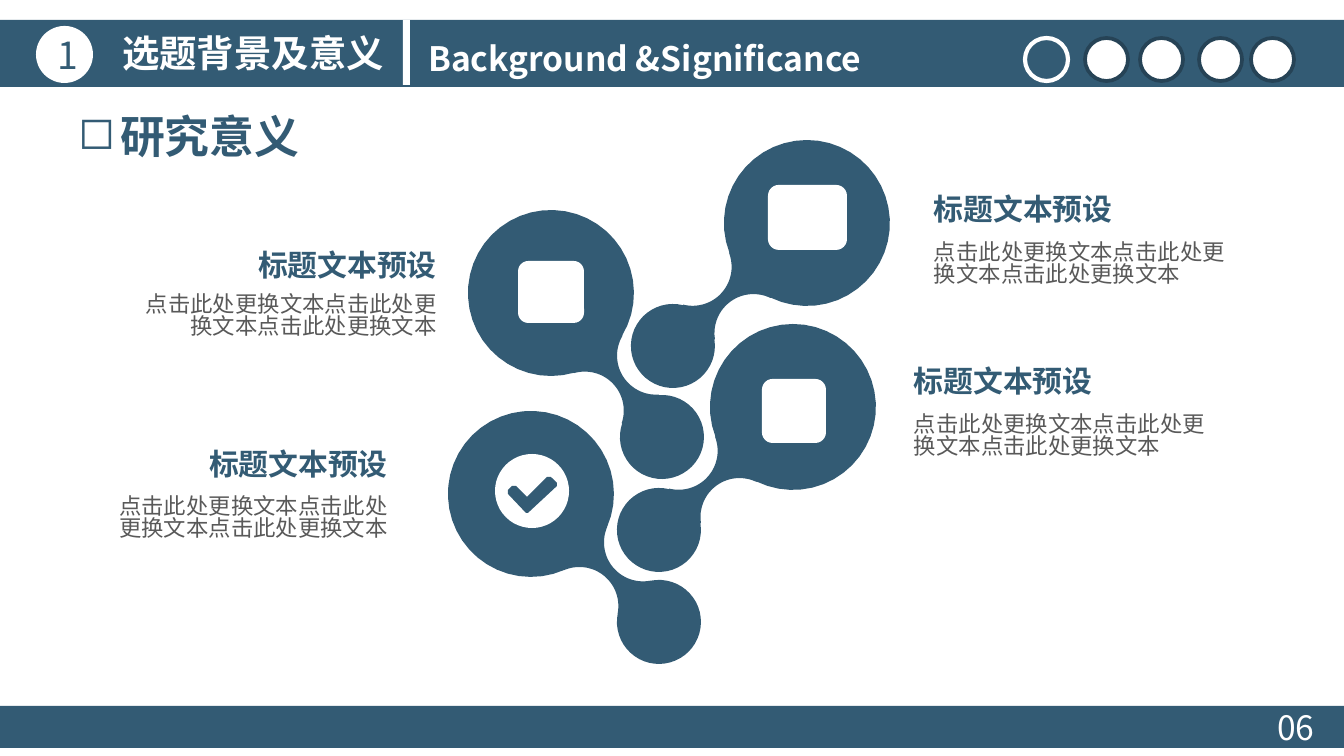
from math import atan2, cos, hypot, pi, sin

from lxml import etree
from pptx import Presentation
from pptx.dml.color import RGBColor
from pptx.enum.shapes import MSO_SHAPE
from pptx.enum.text import MSO_ANCHOR, PP_ALIGN
from pptx.oxml.ns import qn
from pptx.util import Emu, Pt

RECT, ELLIPSE, ROUNDED = MSO_SHAPE.RECTANGLE, MSO_SHAPE.OVAL, MSO_SHAPE.ROUNDED_RECTANGLE
LEFT, CENTER, RIGHT = PP_ALIGN.LEFT, PP_ALIGN.CENTER, PP_ALIGN.RIGHT
TOP, MIDDLE = MSO_ANCHOR.TOP, MSO_ANCHOR.MIDDLE

BLUE = RGBColor(0x33, 0x5B, 0x74)
NAVY = RGBColor(0x26, 0x43, 0x56)
GRAY = RGBColor(0x59, 0x59, 0x59)
WHITE = RGBColor(0xFF, 0xFF, 0xFF)
FONT = "Noto Sans CJK SC"
PX = 914400 / 134.4
BIG, SMALL, NECK = 83, 42, 39
NECK_GAP = 6

HEADING = "标题文本预设"
BODY = "点击此处更换文本" * 3


def px(n):
    return Emu(round(n * PX))


def arc(cx, cy, r, start, end, steps=40):
    angles = [start + (end - start) * i / steps for i in range(steps + 1)]
    return [(cx + r * cos(a), cy + r * sin(a)) for a in angles]


def dumbbell(x1, y1, x2, y2):
    d = hypot(x2 - x1, y2 - y1)
    y = NECK + NECK_GAP
    x = ((BIG + NECK) ** 2 - (SMALL + NECK) ** 2 + d * d) / (2 * d)
    phi, psi = atan2(y, x), atan2(y, d - x)
    outline = (arc(0, 0, BIG, phi, 2 * pi - phi)
               + arc(x, -y, NECK, pi - phi, psi)
               + arc(d, 0, SMALL, pi + psi, 3 * pi - psi)
               + arc(x, y, NECK, -psi, phi - pi))
    c, s = (x2 - x1) / d, (y2 - y1) / d
    return [(x1 + u * c - v * s, y1 + u * s + v * c) for u, v in outline]


class Deck:
    """Holds the style and the current slide."""

    def __init__(self, width, height):
        self.prs = Presentation()
        self.prs.slide_width, self.prs.slide_height = px(width), px(height)
        self.s = self.prs.slides.add_slide(self.prs.slide_layouts[6])

    def paint(self, sp, fill, line=None, weight=0):
        sp.shadow.inherit = False
        if fill is None:
            sp.fill.background()
        else:
            sp.fill.solid()
            sp.fill.fore_color.rgb = fill
        if line is None:
            sp.line.fill.background()
        else:
            sp.line.color.rgb = line
            sp.line.width = Pt(weight)
        return sp

    def shape(self, kind, x, y, w, h, fill, line=None, weight=0):
        sp = self.s.shapes.add_shape(kind, px(x), px(y), px(w), px(h))
        return self.paint(sp, fill, line, weight)

    def outline(self, points, fill):
        points = [(px(x), px(y)) for x, y in points]
        builder = self.s.shapes.build_freeform(*points[0], scale=1.0)
        builder.add_line_segments(points[1:], close=True)
        return self.paint(builder.convert_to_shape(), fill)

    def label(self, sp, text, size, color, bold=False, align=LEFT, anchor=TOP):
        tf = sp.text_frame
        tf.vertical_anchor = anchor
        p = tf.paragraphs[0]
        p.add_run().text = text
        p.alignment = align
        p.font.size, p.font.bold, p.font.name = Pt(size), bold, FONT
        p.font.color.rgb = color
        etree.SubElement(p._p.pPr.find(qn("a:defRPr")), qn("a:ea"), typeface=FONT)
        return p

    def text(self, x, y, w, h, text, size, color, wrap=True, inset=None, **style):
        sp = self.s.shapes.add_textbox(px(x), px(y), px(w), px(h))
        tf = sp.text_frame
        tf.word_wrap = wrap
        if inset is not None:
            tf.margin_left = tf.margin_right = px(inset)
            tf.margin_top = tf.margin_bottom = 0
        return self.label(sp, text, size, color, **style)

    def bullet(self, p, char, indent):
        pPr = p._p.pPr
        pPr.set("marL", str(px(indent)))
        pPr.set("indent", str(-px(indent)))
        pPr.insert(0, etree.Element(qn("a:buChar"), char=char))

    def caption(self, x, y, w, align, gap):
        self.text(x, y, w, 27, HEADING, 16, BLUE, inset=11, bold=True, align=align)
        p = self.text(x, y + gap, w, 64, BODY, 12, GRAY, inset=11, align=align,
                      anchor=MIDDLE)
        p.line_spacing = 0.83


def main():
    deck = Deck(1344, 756)

    deck.shape(RECT, 0, 20, 1344, 67, BLUE)
    deck.shape(ELLIPSE, 1025, 38, 43, 43, None, WHITE, 2.25)
    for x in (1085, 1140, 1199, 1251):
        deck.shape(ELLIPSE, x, 38, 43, 43, WHITE, NAVY, 2)
    number = deck.shape(ELLIPSE, 36, 26, 57, 57, WHITE)
    deck.label(number, "1", 20, BLUE, align=CENTER, anchor=MIDDLE)
    deck.text(109, 24, 292, 59, "选题背景及意义", 20, WHITE, wrap=False, bold=True)
    deck.text(415, 31, 478, 54, "Background &Significance", 18, WHITE, wrap=False,
              bold=True)
    deck.shape(RECT, 403, 20, 7, 65, WHITE)

    deck.shape(RECT, 0, 706, 1344, 42, BLUE)
    deck.text(1264, 700, 80, 54, "06", 18, WHITE)

    p = deck.text(65, 102, 314, 67, "研究意义", 24, BLUE, bold=True)
    deck.bullet(p, "◻", 42)

    for x, y, w, align, gap in ((134, 247, 314, RIGHT, 38), (923, 191, 318, LEFT, 42),
                                (87, 446, 312, RIGHT, 41), (903, 363, 320, LEFT, 42)):
        deck.caption(x, y, w, align, gap)

    for ends in ((793, 407, 659, 530), (807, 223, 673, 346),
                 (551, 293, 662, 437), (531, 494, 659, 622)):
        deck.outline(dumbbell(*ends), BLUE)

    for x, y, w, h in ((762, 379, 64, 64), (768, 185, 79, 65), (518, 261, 66, 62)):
        deck.shape(ROUNDED, x, y, w, h, WHITE)

    deck.shape(ELLIPSE, 495, 454, 74, 74, WHITE)
    deck.outline([(528, 513), (557, 486), (557, 483), (551, 477), (547, 477), (527, 497),
                  (516, 486), (512, 486), (508, 490), (508, 494), (526, 513)], BLUE)

    deck.prs.save("out.pptx")


if __name__ == "__main__":
    main()
